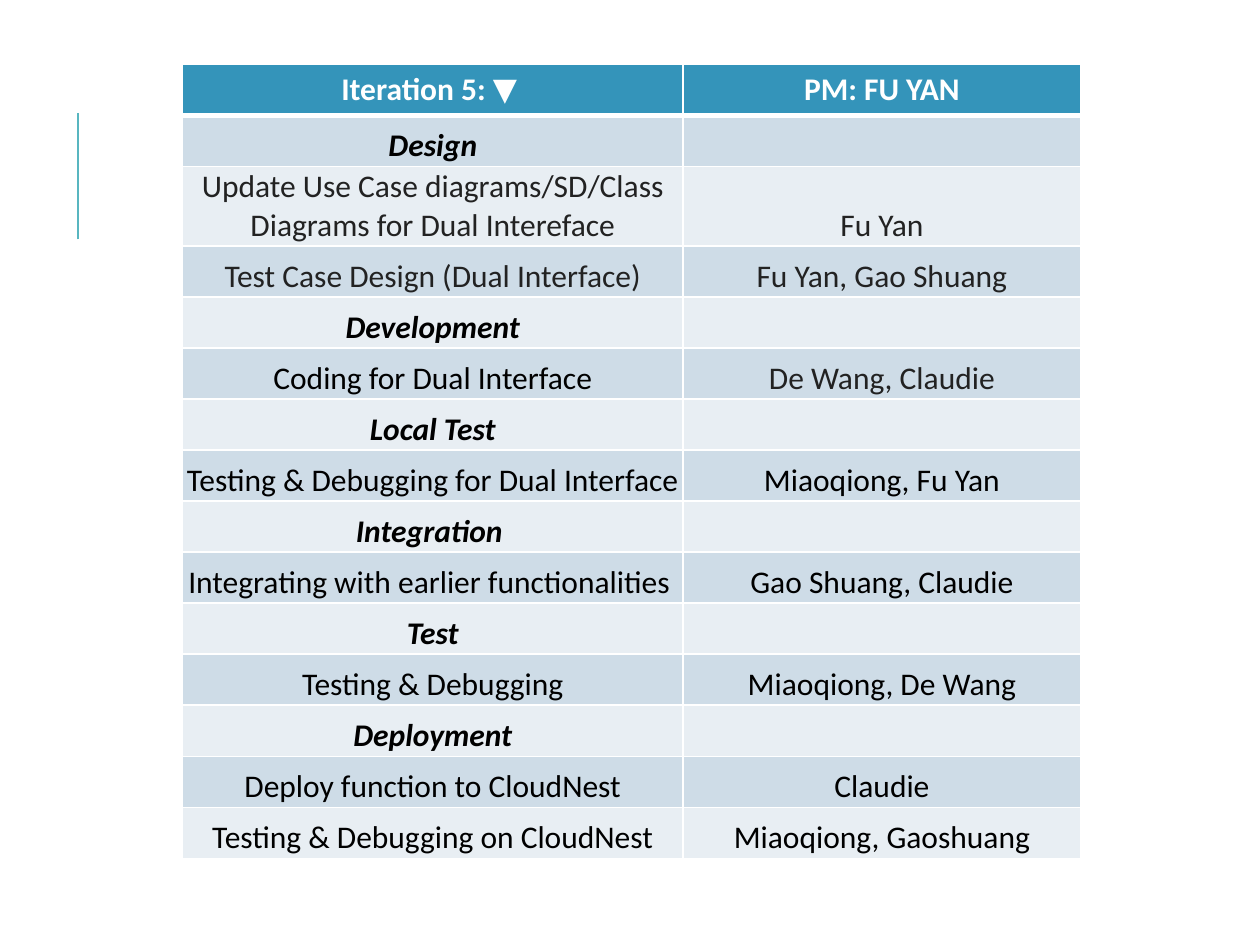
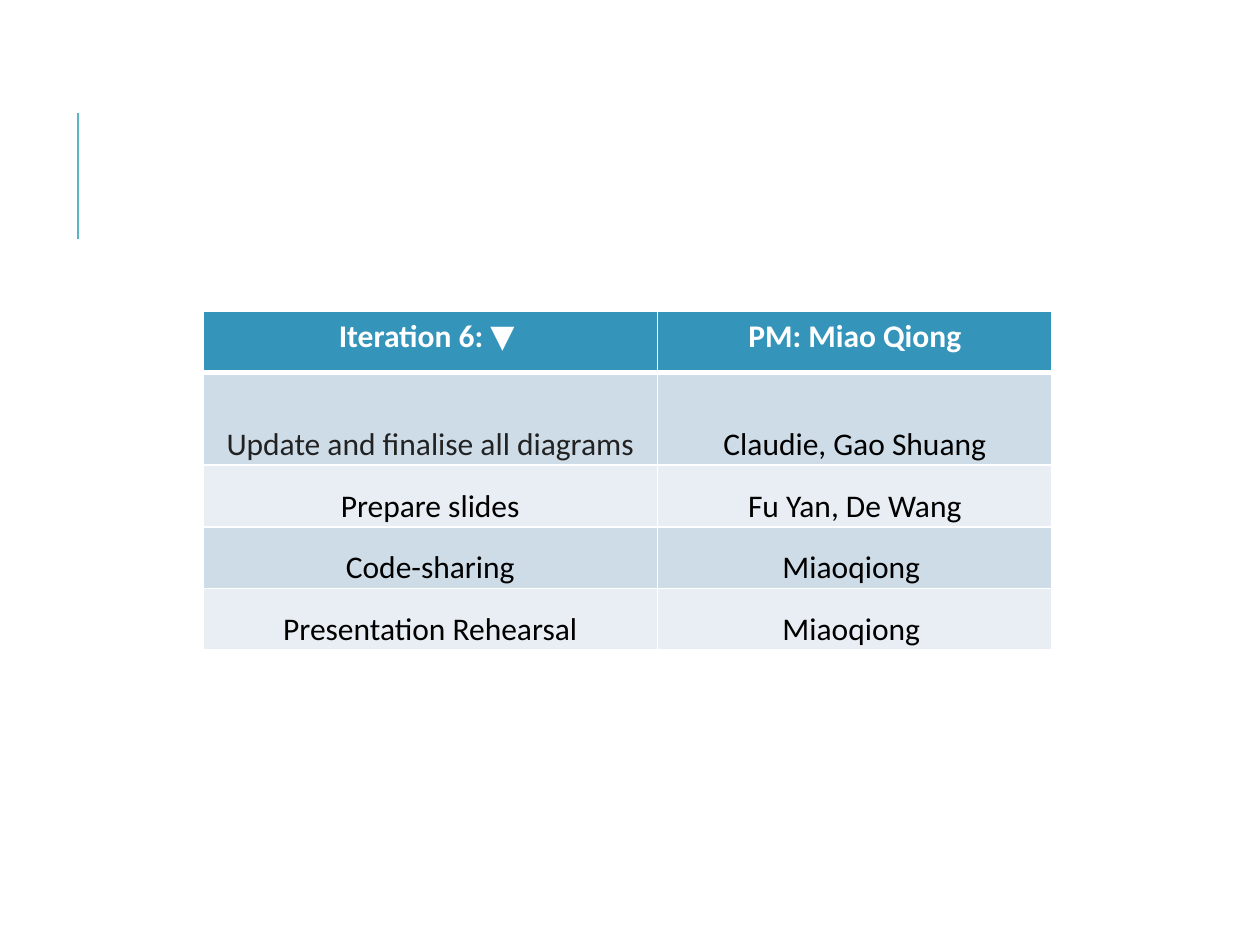
from typing import NamedTuple

from lxml import etree
from pptx import Presentation
from pptx import util as u
from pptx.dml.color import RGBColor
from pptx.enum import shapes, text
from pptx.oxml import ns

WIDE, HIGH = u.Inches(10), u.Inches(7.5)
FONT, SIZE = "Calibri", u.Pt(18)
WHITE, BLACK, GREY = "FFFFFF", "000000", "222222"
HEAD, RULE = "3494BA", "58B6C0"
BANDS = ("CEDCE7", "E8EEF3")
THIN, THICK = 1, 3


class Row(NamedTuple):
    task: str
    who: str = ""
    ink: str = BLACK        # colour of the task
    mate: str = BLACK       # colour of the people
    phase: bool = False     # bold italic heading of a phase
    share: float = 1        # height against a plain row


class Plan(NamedTuple):
    left: float             # places and sizes in percent of the slide
    top: float
    cols: tuple[float, float]
    high: float
    rows: list[Row]


def phase(name: str) -> Row:
    return Row(name, phase=True)


PLANS = [
    Plan(14.5, 6.8, (39.7, 31.6), 84, [
        Row("Iteration 5: ▼ ", "PM: FU YAN", WHITE, WHITE),
        phase("Design"),
        Row("Update Use Case diagrams/SD/Class Diagrams for Dual Intereface",
            "Fu Yan", GREY, GREY, share=1.55),
        Row("Test Case Design (Dual Interface)", "Fu Yan, Gao Shuang", GREY, GREY),
        phase("Development"),
        Row("Coding for Dual Interface", "De Wang, Claudie", mate=GREY),
        phase("Local Test"),
        Row("Testing & Debugging for Dual Interface", "Miaoqiong, Fu Yan"),
        phase("Integration "),
        Row("Integrating with earlier functionalities ", "Gao Shuang, Claudie"),
        phase("Test"),
        Row("Testing & Debugging", "Miaoqiong, De Wang"),
        phase("Deployment"),
        Row("Deploy function to CloudNest", "Claudie"),
        Row("Testing & Debugging on CloudNest", "Miaoqiong, Gaoshuang"),
    ]),
    Plan(16.1, 32.93, (36.1, 31.3), 35.87, [
        Row("Iteration 6: ▼ ", "PM: Miao Qiong", WHITE, WHITE),
        Row("Update and finalise all diagrams", "Claudie, Gao Shuang",
            GREY, share=1.5),
        Row("Prepare slides", "Fu Yan, De Wang"),
        Row("Code-sharing", "Miaoqiong "),
        Row("Presentation Rehearsal", "Miaoqiong "),
    ]),
]


def tone(code: str) -> RGBColor:
    return RGBColor.from_string(code)


def across(part: float) -> int:
    return round(WIDE * part / 100)


def down(part: float) -> int:
    return round(HIGH * part / 100)


def edge(cell, side: str, points: float) -> None:
    """Draw one white border of a cell."""
    props = cell._tc.get_or_add_tcPr()
    line = etree.SubElement(props, ns.qn(f"a:ln{side}"), w=str(u.Pt(points)))
    fill = etree.SubElement(line, ns.qn("a:solidFill"))
    etree.SubElement(fill, ns.qn("a:srgbClr"), val=WHITE)


def fill_cell(cell, words: str, ink: str, line: int, bold: bool, slant: bool) -> None:
    # Borders come before the fill
    widths = {"L": THIN, "R": THIN,
              "T": THICK if line == 1 else THIN,
              "B": THICK if line == 0 else THIN}
    for side, points in widths.items():
        edge(cell, side, points)
    cell.fill.solid()
    cell.fill.fore_color.rgb = tone(BANDS[(line - 1) % 2] if line else HEAD)

    # Body cells sit low with narrow margins
    if line:
        cell.vertical_anchor = text.MSO_ANCHOR.BOTTOM
        cell.margin_left = cell.margin_right = u.Inches(0.02)
        cell.margin_top = cell.margin_bottom = u.Inches(0.01)
    if not words:
        return
    cell.text_frame.text = words
    para = cell.text_frame.paragraphs[0]
    para.alignment = text.PP_ALIGN.CENTER
    font = para.runs[0].font
    font.name, font.size = FONT, SIZE
    font.bold, font.italic = bold, slant
    font.color.rgb = tone(ink)


def draw_rule(slide) -> None:
    x = across(6.2)
    rule = slide.shapes.add_connector(
        shapes.MSO_CONNECTOR.STRAIGHT, x, down(25.33), x, down(12))
    rule.line.color.rgb = tone(RULE)
    rule.line.width = u.Pt(1.5)
    etree.SubElement(rule._element.spPr, ns.qn("a:effectLst"))


def draw_plan(slide, plan: Plan) -> None:
    table = slide.shapes.add_table(
        len(plan.rows), len(plan.cols), across(plan.left), down(plan.top),
        across(sum(plan.cols)), down(plan.high)).table
    table.horz_banding = False
    for col, part in zip(table.columns, plan.cols):
        col.width = across(part)
    unit = plan.high / sum(row.share for row in plan.rows)
    for line, row in enumerate(plan.rows):
        table.rows[line].height = down(unit * row.share)
        bold = row.phase or line == 0
        for col, (words, ink) in enumerate([(row.task, row.ink), (row.who, row.mate)]):
            fill_cell(table.cell(line, col), words, ink, line, bold, row.phase)


def main() -> None:
    deck = Presentation()
    deck.slide_width, deck.slide_height = WIDE, HIGH
    blank = deck.slide_layouts[6]
    for plan in PLANS:
        slide = deck.slides.add_slide(blank)
        draw_rule(slide)
        draw_plan(slide, plan)
    deck.save("out.pptx")


if __name__ == "__main__":
    main()
